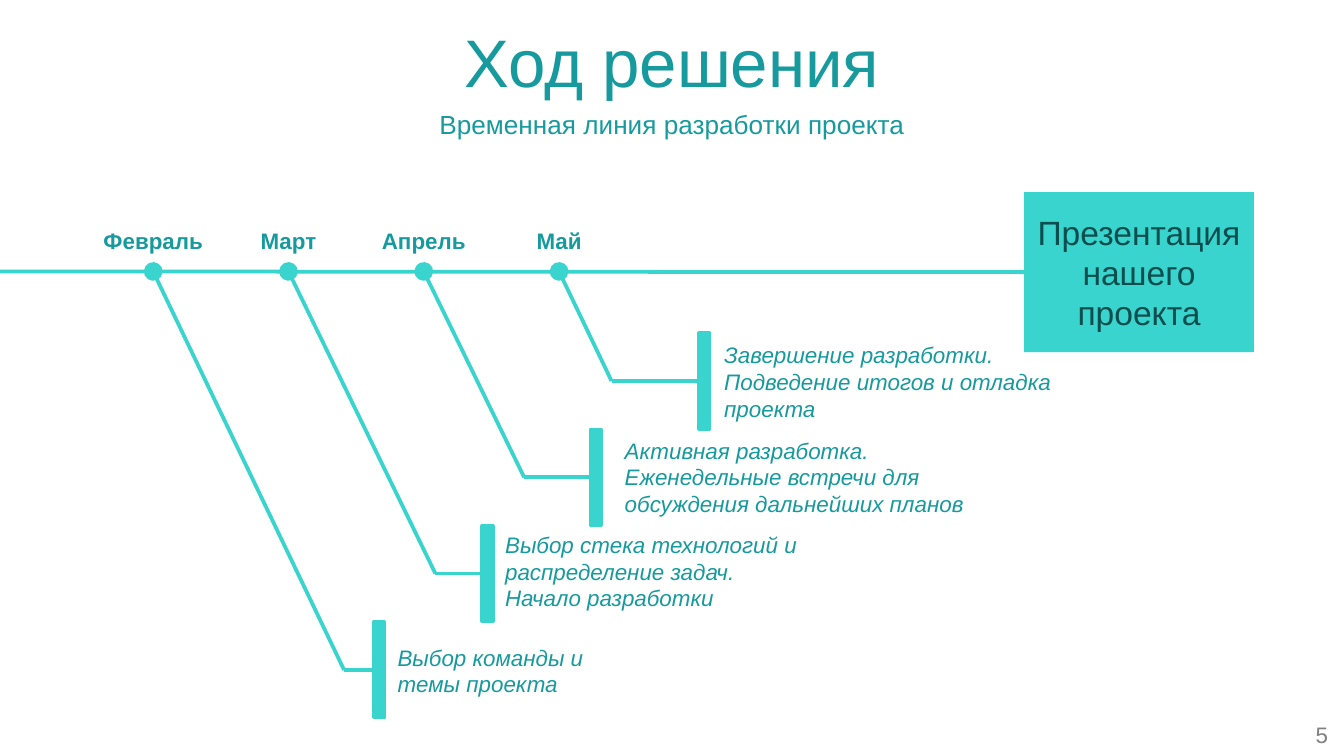
"""Build the project timeline slide."""
from dataclasses import dataclass

from lxml.etree import SubElement
from pptx import Presentation
from pptx.dml.color import RGBColor
from pptx.enum.shapes import MSO_CONNECTOR, MSO_SHAPE
from pptx.enum.text import MSO_ANCHOR, PP_ALIGN
from pptx.oxml.ns import qn
from pptx.util import Inches, Pt


@dataclass(frozen=True)
class Theme:
    font: str = "Arial"
    teal: str = "179A9D"
    aqua: str = "38D4CD"
    dark: str = "0C4D4E"
    gray: str = "808080"
    title: int = 36
    box: int = 18
    lead: int = 14
    body: int = 12
    line: int = 2


@dataclass(frozen=True)
class Stage:
    month: str
    bend: float
    left: float
    top: float
    width: float
    lines: tuple[str, ...]


THEME = Theme()
AXIS = 2.02
LABEL = 1.01
BAR_W, BAR_H = 0.08, 0.71
STAGES = (
    Stage("Февраль", 2.56, 2.86, 4.74, 1.82, ("Выбор команды и темы проекта",)),
    Stage("Март", 3.24, 3.66, 3.9, 3.15,
          ("Выбор стека технологий и распределение задач.", "Начало разработки")),
    Stage("Апрель", 3.9, 4.55, 3.2, 3.15,
          ("Активная разработка. Еженедельные встречи для обсуждения дальнейших планов",)),
    Stage("Май", 4.55, 5.29, 2.49, 3.15,
          ("Завершение разработки. Подведение итогов и отладка проекта",)),
)


def write(shape, lines: tuple[str, ...], size: int, color: str = THEME.teal,
          align=PP_ALIGN.CENTER, anchor=MSO_ANCHOR.MIDDLE, **style) -> None:
    """Fill a shape with styled paragraphs."""
    frame = shape.text_frame
    frame.word_wrap = True
    frame.vertical_anchor = anchor
    frame.text = "\n".join(lines)
    form = {"name": THEME.font, "size": Pt(size), **style}
    for para in frame.paragraphs:
        para.alignment = align
        for run in para.runs:
            run.font.color.rgb = RGBColor.from_string(color)
            for key, value in form.items():
                setattr(run.font, key, value)


def add_text(slide, left: float, top: float, width: float, height: float,
             lines: tuple[str, ...], size: int, **style) -> None:
    """Place a text box."""
    box = slide.shapes.add_textbox(Inches(left), Inches(top), Inches(width), Inches(height))
    write(box, lines, size, **style)


def add_rect(slide, left: float, top: float, width: float, height: float,
             edge: bool = False):
    """Place an aqua rectangle, outlined on request."""
    rect = slide.shapes.add_shape(MSO_SHAPE.RECTANGLE, Inches(left), Inches(top),
                                  Inches(width), Inches(height))
    rect.shadow.inherit = False
    rect.fill.solid()
    rect.fill.fore_color.rgb = RGBColor.from_string(THEME.aqua)
    if edge:
        rect.line.color.rgb = RGBColor.from_string(THEME.aqua)
        rect.line.width = Pt(THEME.line)
    else:
        rect.line.fill.background()
    return rect


def add_line(slide, start: tuple[float, float], end: tuple[float, float],
             dot: bool = False):
    """Draw a straight aqua line, with a dot at its start on request."""
    line = slide.shapes.add_connector(MSO_CONNECTOR.STRAIGHT,
                                      *map(Inches, start), *map(Inches, end))
    line.line.color.rgb = RGBColor.from_string(THEME.aqua)
    line.line.width = Pt(THEME.line)
    props = line._element.spPr
    if dot:
        SubElement(props.find(qn("a:ln")), qn("a:headEnd"), type="oval", w="lg", len="lg")
    SubElement(props, qn("a:effectLst"))
    return line


def add_stage(slide, rank: int, stage: Stage) -> None:
    """Draw one month with its branch, bar and note."""
    part = rank / (len(STAGES) - 1)
    dot = 1.14 + 3.02 * part
    left = 2.78 + 2.42 * part
    top = 4.63 - 2.15 * part
    mid = top + BAR_H / 2
    add_text(slide, dot - LABEL / 2, 1.64, LABEL, 0.3, (stage.month,), THEME.body, bold=True)
    add_line(slide, (dot, AXIS), (stage.bend, mid), dot=True)
    bar = add_rect(slide, left, top, BAR_W, BAR_H, edge=True)
    add_line(slide, (left, mid), (stage.bend, mid)).begin_connect(bar, 1)
    add_text(slide, stage.left, stage.top, stage.width, BAR_H, stage.lines, THEME.body,
             align=PP_ALIGN.LEFT, anchor=MSO_ANCHOR.TOP, italic=True)


def main() -> None:
    """Build and save the deck."""
    deck = Presentation()
    deck.slide_width = Inches(10)
    deck.slide_height = deck.slide_width * 9 // 16
    slide = deck.slides.add_slide(deck.slide_layouts[6])
    add_text(slide, 0, 0.14, 10, 0.63, ("Ход решения",), THEME.title)
    add_text(slide, 0, 0.77, 10, 0.31, ("Временная линия разработки проекта",), THEME.lead)
    goal = add_rect(slide, 7.62, 1.43, 1.71, 1.19)
    goal.text_frame.margin_left = goal.text_frame.margin_right = Inches(0.05)
    write(goal, ("Презентация нашего проекта",), THEME.box, THEME.dark)
    add_line(slide, (0, AXIS), (7.62, AXIS)).end_connect(goal, 1)
    for rank, stage in enumerate(STAGES):
        add_stage(slide, rank, stage)
    add_text(slide, 9.69, 5.32, 0.31, 0.3, ("5",), THEME.body, color=THEME.gray,
             align=PP_ALIGN.LEFT, anchor=MSO_ANCHOR.TOP)
    deck.save("out.pptx")


if __name__ == "__main__":
    main()
